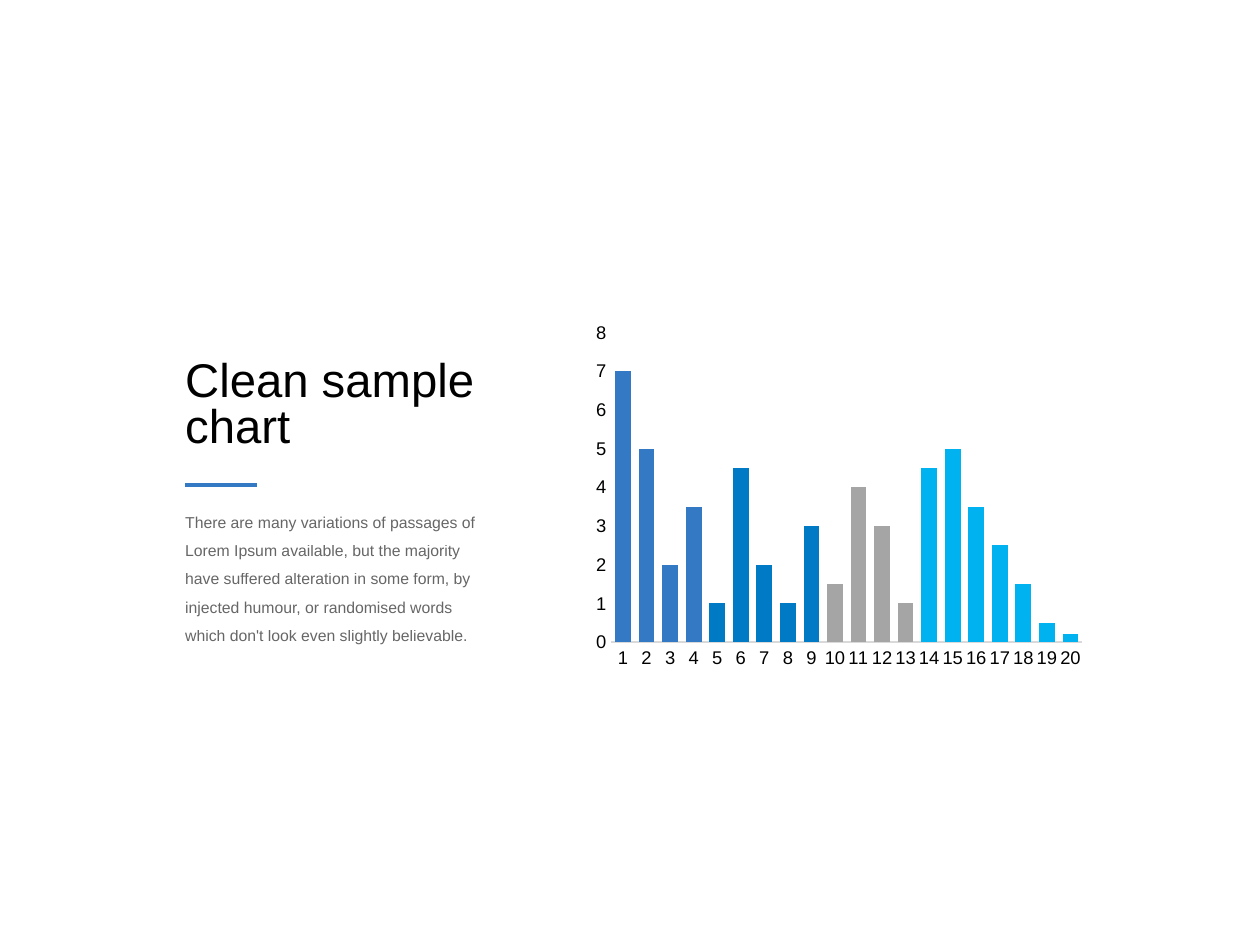
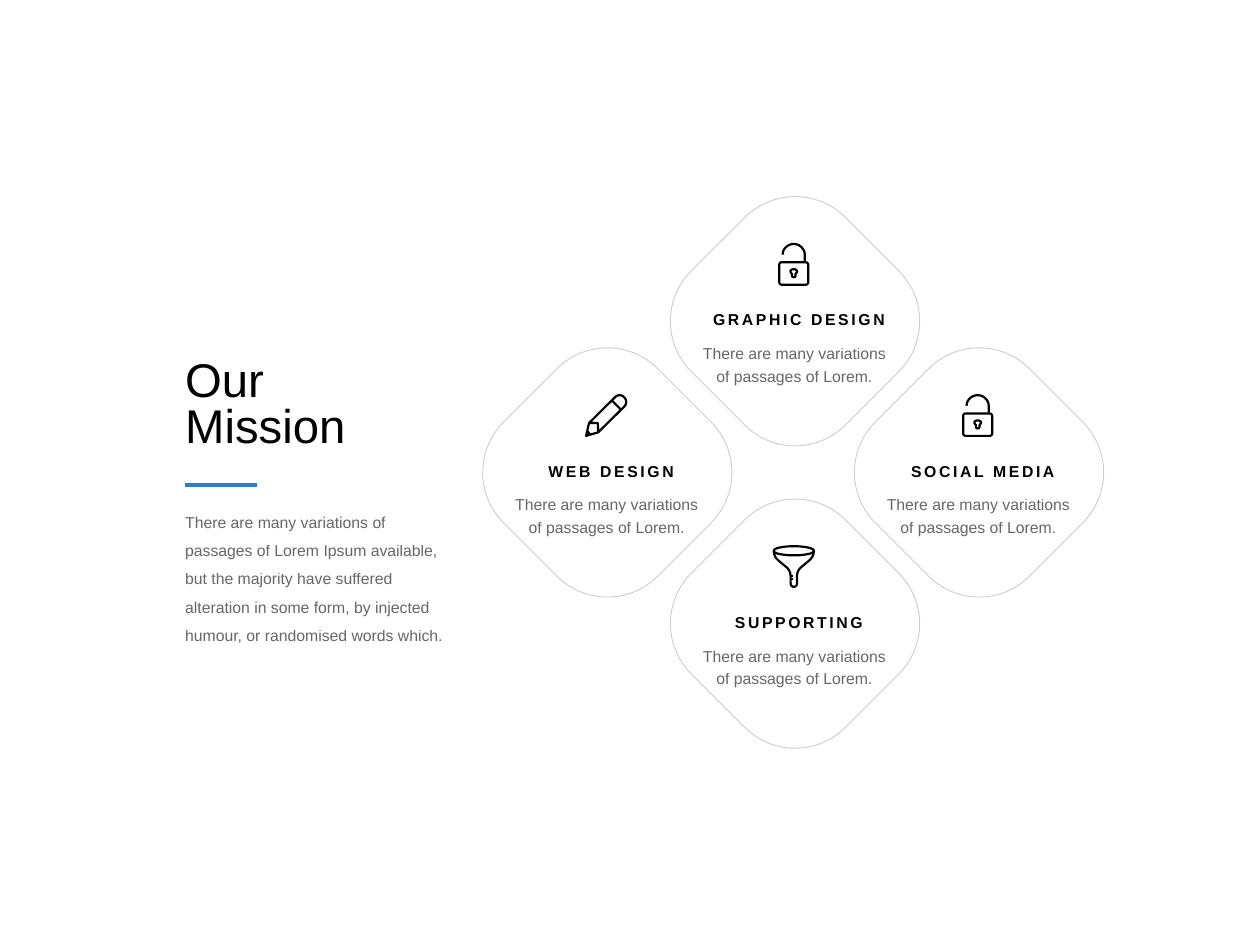
from lxml.etree import SubElement
from pptx import Presentation
from pptx.chart.data import CategoryChartData
from pptx.dml.color import RGBColor
from pptx.enum.chart import XL_CHART_TYPE, XL_TICK_MARK
from pptx.enum.shapes import MSO_CONNECTOR, MSO_SHAPE
from pptx.enum.text import MSO_ANCHOR, MSO_AUTO_SIZE, PP_ALIGN
from pptx.oxml.ns import qn
from pptx.util import Inches, Pt

# Content
CHART = {
    "title": "Clean sample\nchart",
    "body": "There are many variations of passages of Lorem Ipsum available, "
            "but the majority have suffered alteration in some form, by injected "
            "humour, or randomised words which don't look even slightly believable.",
    "widths": (2.48, 2.48),
}
MISSION = {
    "title": "Our\nMission",
    "body": "There are many variations of passages of Lorem Ipsum available, "
            "but the majority have suffered alteration in some form, by injected "
            "humour, or randomised words which.",
    "widths": (2.7, 2.16),
}
# Bar groups: colour, values
BARS = [
    ("3479C4", (7, 5, 2, 3.5)),
    ("007AC4", (1, 4.5, 2, 1, 3)),
    ("A5A5A5", (1.5, 4, 3, 1)),
    ("00B2F0", (4.5, 5, 3.5, 2.5, 1.5, 0.5, 0.2)),
]
NOTE = "There are many variations of passages of Lorem."
# Diamonds: heading, icon, centre
CARDS = [
    ("GRAPHIC DESIGN", "lock", 6.31, 2.55),
    ("SUPPORTING", "funnel", 6.31, 4.95),
    ("WEB DESIGN", "pencil", 4.82, 3.75),
    ("SOCIAL MEDIA", "lock", 7.77, 3.75),
]
# Icon strokes in 1/1000 inch from the icon's centre:
# pairs are corners, sixes are curves (two handles and an end)
ICONS = {
    "lock": [
        [(-95, -18), (95, -18), (106, -18, 115, -9, 115, 2), (115, 140),
         (115, 151, 106, 160, 95, 160), (-95, 160),
         (-106, 160, -115, 151, -115, 140), (-115, 2),
         (-115, -9, -106, -18, -95, -18)],
        [(88, -25), (88, -75), (88, -124, 49, -163, 0, -163),
         (-49, -163, -88, -124, -88, -78)],
        [(-14, 75), (-40, 50, -20, 38, 0, 38), (20, 38, 40, 50, 14, 75),
         (14, 88), (14, 105, -14, 105, -14, 88), (-14, 75)],
    ],
    "funnel": [
        [(-160, -128), (-160, -176, 160, -176, 160, -128),
         (160, -80, -160, -80, -160, -128),
         (-160, -30, -25, -20, -25, 70), (-25, 130),
         (-25, 168, 25, 168, 25, 130), (25, 70),
         (25, -20, 160, -30, 160, -128)],
        [(-25, 70), (-8, 70)],
        [(-25, 98), (-8, 98)],
    ],
    "pencil": [
        [(-135, 58), (70, -145), (80, -155, 90, -163, 107, -163),
         (136, -163, 160, -138, 160, -110), (160, -92, 152, -80, 142, -70),
         (-62, 132), (-158, 160), (-135, 58), (-65, 58), (-62, 132)],
        [(48, -120), (117, -50)],
        [(-146, 125), (-125, 148)],
    ],
}

# Shared style
FONT, BLACK, BLUE = "Arial", "000000", "3479C4"
LEFT = 1.47
SIDE, ROUND = 1.73, 0.327  # diamond: side of the square, corner share


def hue(code):
    return RGBColor.from_string(code)


def box(x, y, w, h):
    return [Inches(v) for v in (x, y, w, h)]


def fade(node, share):
    for clr in node.iter(qn("a:srgbClr")):
        SubElement(clr, qn("a:alpha")).set("val", str(share * 1000))


def write(shape, text, size, gap, align=PP_ALIGN.LEFT, bold=False,
          alpha=None, track=None, right=0):
    frame = shape.text_frame
    frame.text = text
    frame.word_wrap = True
    frame.auto_size = MSO_AUTO_SIZE.SHAPE_TO_FIT_TEXT
    frame.vertical_anchor = MSO_ANCHOR.TOP
    frame.margin_left = frame.margin_top = frame.margin_bottom = 0
    frame.margin_right = Inches(right)
    for para in frame.paragraphs:
        para.alignment, para.line_spacing = align, gap
        for run in para.runs:
            font = run.font
            font.name, font.size, font.bold = FONT, Pt(size), bold
            font.color.rgb = hue(BLACK)
            if alpha:
                fade(font.fill._xPr, alpha)
            if track:
                font.fill._xPr.set("spc", str(track))


def prose(slide, text, place, gap, align=PP_ALIGN.LEFT):
    write(slide.shapes.add_textbox(*box(*place)), text, 9, gap, align,
          alpha=60, right=0.07)


def start(deck, page):
    """Add a slide with the title, rule and text of the left column."""
    slide = deck.slides.add_slide(deck.slide_layouts[5])
    wide, slim = page["widths"]
    title = slide.shapes.title
    title.left, title.top, title.width, title.height = box(LEFT, 2.87, wide, 0.73)
    write(title, page["title"], 27, 0.8)
    prose(slide, page["body"], (LEFT, 3.99, slim, 1.11), 1.5)
    rule = slide.shapes.add_connector(
        MSO_CONNECTOR.STRAIGHT, *box(LEFT, 3.85, LEFT + 0.57, 3.85))
    rule.line.color.rgb, rule.line.width = hue(BLUE), Pt(2)
    SubElement(rule._element.spPr, qn("a:effectLst"))
    return slide


def add_bars(slide):
    data = CategoryChartData()
    vals = [v for _, group in BARS for v in group]
    tints = [tint for tint, group in BARS for _ in group]
    data.categories = [str(i + 1) for i in range(len(vals))]
    data.add_series("Series 1", vals)
    chart = slide.shapes.add_chart(
        XL_CHART_TYPE.COLUMN_CLUSTERED, *box(4.65, 2.5, 4.02, 2.86), data).chart
    chart.has_title = chart.has_legend = False
    chart.font.name, chart.font.size = FONT, Pt(10.5)
    chart.font.color.rgb = hue(BLACK)
    plot = chart.plots[0]
    plot.gap_width, plot.overlap, plot.vary_by_categories = 50, -27, False
    bars = plot.series[0]
    bars.format.fill.solid()
    bars.format.fill.fore_color.rgb = hue("19C0B4")
    for i, tint in enumerate(tints):
        fill = bars.points[i].format.fill
        fill.solid()
        fill.fore_color.rgb = hue(tint)
    # Axes
    cats, scale = chart.category_axis, chart.value_axis
    for axis in (cats, scale):
        axis.has_major_gridlines = False
        axis.major_tick_mark = axis.minor_tick_mark = XL_TICK_MARK.NONE
    cats.format.line.color.rgb = hue("D9D9D9")
    cats.format.line.width = Pt(0.75)
    scale.format.line.fill.background()
    scale.minimum_scale, scale.maximum_scale, scale.major_unit = 0, 8, 1


def trace(stroke, steps=10):
    """Turn corners and curves into a list of points."""
    dots = [stroke[0]]
    for part in stroke[1:]:
        if len(part) == 2:
            dots.append(part)
            continue
        knots = [dots[-1], part[:2], part[2:4], part[4:]]
        for n in range(1, steps + 1):
            t = n / steps
            mix = ((1 - t) ** 3, 3 * t * (1 - t) ** 2, 3 * t * t * (1 - t), t ** 3)
            dots.append(tuple(sum(m * k[i] for m, k in zip(mix, knots))
                              for i in (0, 1)))
    return dots


def add_icon(slide, name, x, y):
    lines = [trace(stroke) for stroke in ICONS[name]]
    pen = slide.shapes.build_freeform(*lines[0][0], scale=Inches(1) / 1000)
    for i, dots in enumerate(lines):
        if i:
            pen.move_to(*dots[0])
        pen.add_line_segments(dots[1:], close=False)
    icon = pen.convert_to_shape(Inches(x), Inches(y))
    icon.shadow.inherit = False
    icon.fill.background()
    icon.line.color.rgb, icon.line.width = hue(BLACK), Pt(1.25)


def add_card(slide, head, icon, x, y):
    gem = slide.shapes.add_shape(
        MSO_SHAPE.ROUNDED_RECTANGLE, *box(x - SIDE / 2, y - SIDE / 2, SIDE, SIDE))
    gem.adjustments[0], gem.rotation = ROUND, 45
    gem.shadow.inherit = False
    gem.fill.background()
    gem.line.color.rgb, gem.line.width = hue(BLACK), Pt(0.5)
    fade(gem._element.spPr, 20)
    label = slide.shapes.add_textbox(*box(x - 0.69, y - 0.06, 1.44, 0.12))
    write(label, head, 9, 0.8, PP_ALIGN.CENTER, bold=True, track=150)
    prose(slide, NOTE, (x - 0.79, y + 0.15, 1.64, 0.35), 1.2, PP_ALIGN.CENTER)
    add_icon(slide, icon, x - 0.01, y - 0.45)


def main():
    deck = Presentation()
    deck.slide_width, deck.slide_height = Inches(10), Inches(7.5)
    add_bars(start(deck, CHART))
    slide = start(deck, MISSION)
    for card in CARDS:
        add_card(slide, *card)
    deck.save("out.pptx")


if __name__ == "__main__":
    main()
